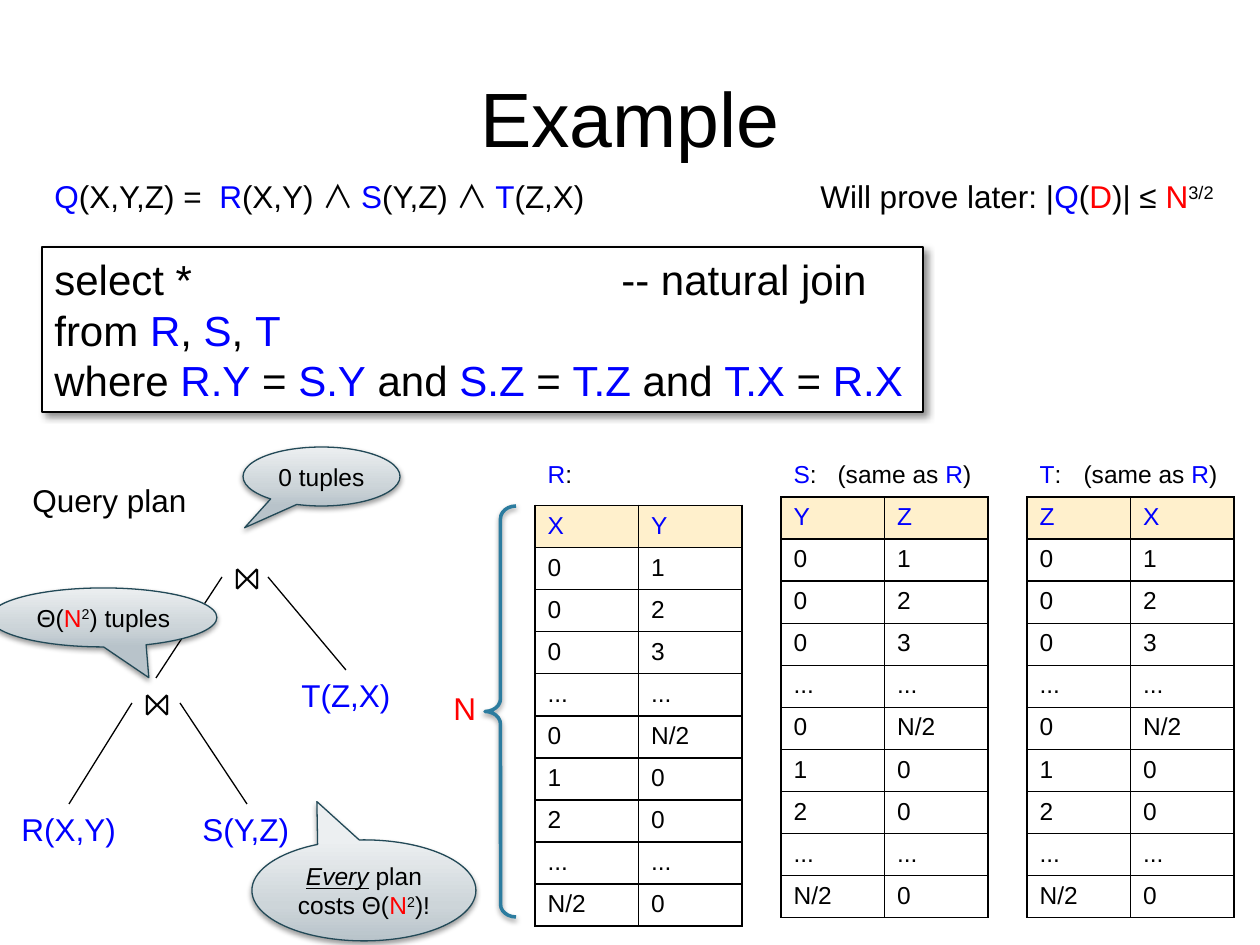
from copy import deepcopy

from lxml import etree
from pptx import Presentation
from pptx.dml.color import RGBColor
from pptx.enum.shapes import MSO_CONNECTOR, MSO_SHAPE
from pptx.enum.text import MSO_ANCHOR, MSO_AUTO_SIZE, PP_ALIGN
from pptx.oxml.ns import qn
from pptx.util import Pt

PX = 914400 / 126
BLACK = RGBColor(0, 0, 0)
WHITE = RGBColor(255, 255, 255)
BLUE = RGBColor(0, 0, 255)
RED = RGBColor(255, 0, 0)
CREAM = RGBColor(0xFF, 0xF0, 0xCC)
TEAL = RGBColor(0x2C, 0x7C, 0x9F)
DARK_TEAL = RGBColor(0x22, 0x49, 0x57)
GRADIENT = [(0, RGBColor(0xB8, 0xC3, 0xCA)),
            (0.35, RGBColor(0xCD, 0xD5, 0xD9)),
            (1, RGBColor(0xEC, 0xEF, 0xF1))]
CENTER = PP_ALIGN.CENTER
MIDDLE = MSO_ANCHOR.MIDDLE
GROW = MSO_AUTO_SIZE.SHAPE_TO_FIT_TEXT
STRAIGHT = MSO_CONNECTOR.STRAIGHT
RECT = MSO_SHAPE.RECTANGLE
BRACE = MSO_SHAPE.LEFT_BRACE
CALLOUT = MSO_SHAPE.OVAL_CALLOUT
FONT = "Arial"
SYMBOL_FONT = "Noto Sans CJK JP"
NO_STYLE = "{2D5ABB26-0587-4C30-8999-92F81FD0307C}"
BOX_SHADOW = (43, 4, 3, 45)
SOFT_SHADOW = (38, 3.1, 1.6, 90)
JOIN = "\u2a1d"
PAIRS = [("0", "1"), ("0", "2"), ("0", "3"), ("...", "..."), ("0", "N/2"),
         ("1", "0"), ("2", "0"), ("...", "..."), ("N/2", "0")]


def px(*values):
    return [round(v * PX) for v in values]


def blue(text):
    return text, {"color": BLUE}


def red(text):
    return text, {"color": RED}


def sup(text):
    return text, {"sup": True}


def wedge():
    return "\u2227 ", {"font": SYMBOL_FONT}


def add_run(p, item, size):
    text, style = (item, {}) if isinstance(item, str) else item
    if text == "\n":
        p.add_line_break()
        return
    r = p.add_run()
    r.text = text
    r.font.size = Pt(size)
    r.font.name = style.get("font", FONT)
    r.font.color.rgb = style.get("color", BLACK)
    if "font" in style:
        etree.SubElement(r.font._element, qn("a:ea"), typeface=style["font"])
    if style.get("sup"):
        r.font._element.set("baseline", "30000")
    if style.get("emphasis"):
        r.font.italic = r.font.underline = True


def write(tf, lines, size, align=None):
    for i, line in enumerate(lines):
        p = tf.add_paragraph() if i else tf.paragraphs[0]
        if align is not None:
            p.alignment = align
        for item in line:
            add_run(p, item, size)


def add_tab_stop(p, position):
    tabs = etree.SubElement(p._p.get_or_add_pPr(), qn("a:tabLst"))
    etree.SubElement(tabs, qn("a:tab"), pos=str(px(position)[0]), algn="l")


def add_text(s, box, line, size=18):
    tf = s.shapes.add_textbox(*px(*box)).text_frame
    tf.word_wrap = False
    tf.auto_size = GROW
    write(tf, [line], size)


def add_title(s, text):
    tf = s.shapes.add_textbox(*px(63, 38, 1134, 158)).text_frame
    tf.word_wrap = True
    tf.vertical_anchor = MIDDLE
    write(tf, [[text]], 44, CENTER)


def add_shape(s, kind, box, line, width, shadow, adjustments=()):
    sp = s.shapes.add_shape(kind, *px(*box))
    for i, value in enumerate(adjustments):
        sp.adjustments[i] = value
    sp.line.color.rgb = line
    sp.line.width = Pt(width)
    sp.shadow.inherit = False
    alpha, blur, dist, angle = shadow
    outer = etree.SubElement(
        sp._element.spPr.find(qn("a:effectLst")), qn("a:outerShdw"),
        blurRad=str(Pt(blur)), dist=str(Pt(dist)), dir=str(angle * 60000),
        rotWithShape="0")
    color = etree.SubElement(outer, qn("a:srgbClr"), val=str(BLACK))
    etree.SubElement(color, qn("a:alpha"), val=str(alpha * 1000))
    return sp


def add_query_box(s, lines):
    sp = add_shape(s, RECT, (42, 247, 881, 165), BLACK, 0.75, BOX_SHADOW)
    sp.fill.solid()
    sp.fill.fore_color.rgb = WHITE
    tf = sp.text_frame
    tf.word_wrap = False
    tf.auto_size = GROW
    write(tf, lines, 24, PP_ALIGN.LEFT)
    add_tab_stop(tf.paragraphs[0], 567)


def add_callout(s, box, tip, line):
    sp = add_shape(s, CALLOUT, box, DARK_TEAL, 0.75, SOFT_SHADOW, tip)
    sp.fill.gradient()
    sp.fill.gradient_angle = 90
    stops = sp._element.spPr.find(".//" + qn("a:gsLst"))
    stops.insert(1, deepcopy(stops[0]))
    for stop, (position, color) in zip(sp.fill.gradient_stops, GRADIENT):
        stop.position = position
        stop.color.rgb = color
    tf = sp.text_frame
    tf.word_wrap = False
    tf.auto_size = GROW
    tf.vertical_anchor = MIDDLE
    write(tf, [line], 14, CENTER)


def add_branch(s, ends):
    c = s.shapes.add_connector(STRAIGHT, *px(*ends))
    c.line.color.rgb = BLACK
    c.line.width = Pt(0.75)
    etree.SubElement(c._element.spPr, qn("a:effectLst"))


def set_borders(cell, sides):
    tc_pr = cell._tc.get_or_add_tcPr()
    for i, side in enumerate(sides):
        ln = etree.Element(qn("a:ln" + side), w=str(Pt(1)))
        fill = etree.SubElement(ln, qn("a:solidFill"))
        etree.SubElement(fill, qn("a:srgbClr"), val=str(BLACK))
        tc_pr.insert(i, ln)


def add_relation(s, left, caption, columns, merged):
    rows = [columns] + PAIRS
    frame = s.shapes.add_table(len(rows) + 1, 2, *px(left, 455, 207, 462))
    table = frame.table
    table.first_row = table.horz_banding = False
    table._tbl.tblPr.find(qn("a:tableStyleId")).text = NO_STYLE
    for row in table.rows:
        row.height = px(42)[0]
    write(table.cell(0, 0).text_frame, [caption], 14)
    if merged:
        table.cell(0, 0).merge(table.cell(0, 1))
        add_tab_stop(table.cell(0, 0).text_frame.paragraphs[0], 44)
    for c in range(2):
        table.cell(0, c).fill.background()
        set_borders(table.cell(0, c), "B")
    for r, values in enumerate(rows, 1):
        for c, value in enumerate(values):
            cell = table.cell(r, c)
            write(cell.text_frame, [[blue(value) if r == 1 else value]], 14)
            if r == 1:
                cell.fill.solid()
                cell.fill.fore_color.rgb = CREAM
            else:
                cell.fill.background()
            set_borders(cell, "LRTB")


def main():
    prs = Presentation()
    prs.slide_width, prs.slide_height = px(1260, 945)
    s = prs.slides.add_slide(prs.slide_layouts[6])
    add_title(s, "Example")
    add_query_box(s, [
        ["select *\t-- natural join"],
        ["from ", blue("R"), ", ", blue("S"), ", ", blue("T")],
        ["where ", blue("R.Y"), " = ", blue("S.Y"), " and ", blue("S.Z"), " = ",
         blue("T.Z"), " and ", blue("T.X"), " = ", blue("R.X")]])
    for left, top, width, item in [
            (222, 552, 48, JOIN), (289, 670, 116, blue("T(Z,X)")),
            (9, 804, 121, blue("R(X,Y)")), (132, 678, 48, JOIN),
            (190, 804, 113, blue("S(Y,Z)")), (20, 475, 181, "Query plan")]:
        add_text(s, (left, top, width, 50), [item])
    for ends in [(156, 678, 222, 577), (268, 577, 346, 670),
                 (69, 804, 132, 703), (247, 804, 180, 703)]:
        add_branch(s, ends)
    add_text(s, (42, 171, 563, 50), [
        blue("Q"), "(X,Y,Z) =  ", blue("R"), "(X,Y) ", wedge(), blue("S"),
        "(Y,Z) ", wedge(), blue("T"), "(Z,X)"])
    add_relation(s, 535, [blue("R"), ":"], ("X", "Y"), False)
    for left, name, columns in [(781, "S", ("Y", "Z")), (1027, "T", ("Z", "X"))]:
        caption = [blue(name), ":\t(same as ", blue("R"), ")"]
        add_relation(s, left, caption, columns, True)
    brace = add_shape(s, BRACE, (485, 506, 31, 411), TEAL, 2, SOFT_SHADOW,
                      (0.41, 0.5))
    brace.fill.background()
    add_callout(s, (-10, 588, 227, 59), (0.2, 1.02),
                ["\u0398(", red("N"), sup("2"), ") tuples"])
    add_text(s, (441, 683, 48, 50), [red("N")])
    add_callout(s, (252, 840, 224, 101), (-0.21, -0.88),
                [("Every", {"emphasis": True}), " plan", "\n", "costs \u0398(",
                 red("N"), sup("2"), ")!"])
    add_callout(s, (243, 447, 157, 59), (-0.49, 0.87), ["0 tuples"])
    add_text(s, (808, 171, 426, 50), [
        "Will prove later: |", blue("Q"), "(", red("D"), ")| \u2264 ",
        red("N"), sup("3/2")])
    prs.save("out.pptx")


main()
